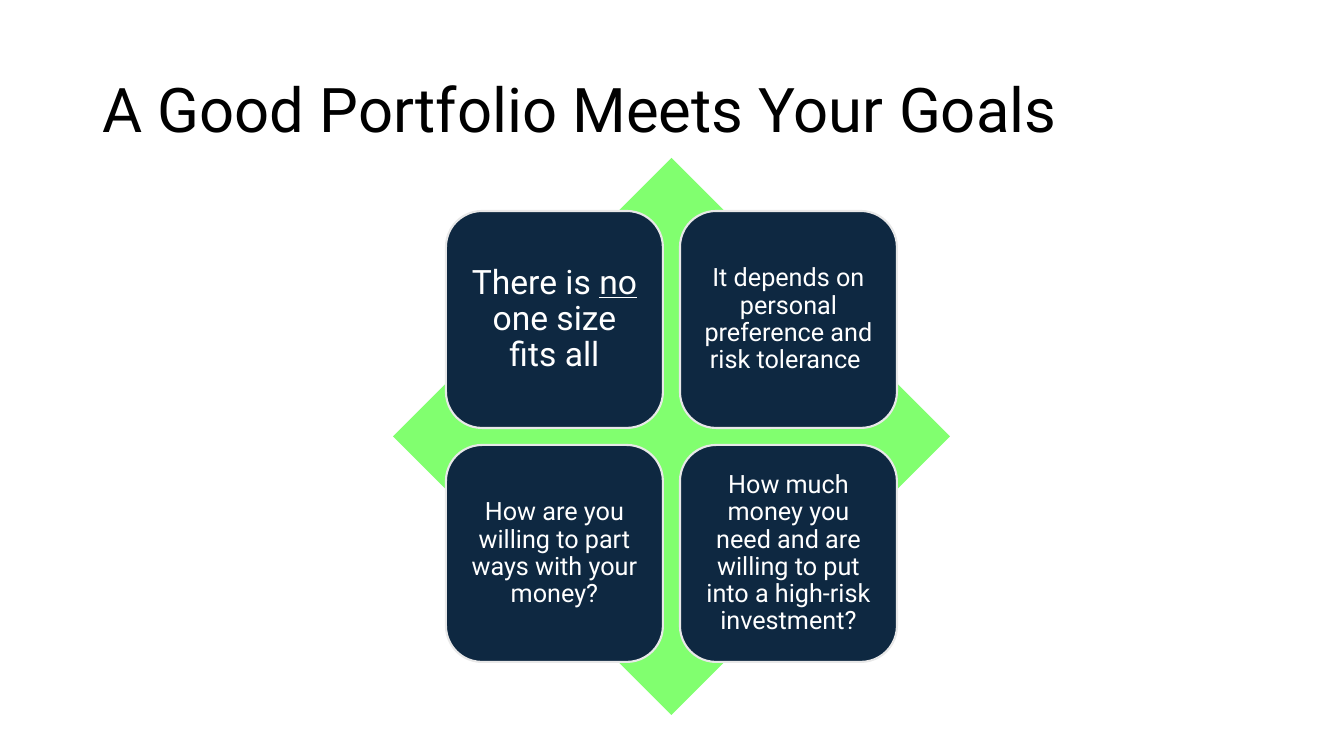
import pptx
import pptx.util
import pptx.dml.color
import pptx.enum.shapes
import pptx.enum.text

SCALE = 914400 / 100.8  # EMU in one px
FONT = "Roboto"
ALIGN = pptx.enum.text.PP_ALIGN
SHAPES = pptx.enum.shapes.MSO_SHAPE

# Each tile: font size, inner margin in px, runs of (text, underlined)
TILES = [
    (24, 10, [("There is ", False), ("no", True), (" one size fits all", False)]),
    (18, 7, [("It depends on personal preference and risk tolerance ", False)]),
    (18, 7, [("How are you willing to part ways with your money?", False)]),
    (18, 7, [("How much money you need and are willing to put into a "
              "high-risk investment?", False)]),
]


def px(length):
    return pptx.util.Emu(round(length * SCALE))


def color(value):
    return pptx.dml.color.RGBColor.from_string(value)


def write_runs(frame, runs, size, font_color, alignment):
    """Write one paragraph, centred vertically in its frame."""
    frame.word_wrap = True
    frame.auto_size = pptx.enum.text.MSO_AUTO_SIZE.NONE
    frame.vertical_anchor = pptx.enum.text.MSO_ANCHOR.MIDDLE
    paragraph = frame.paragraphs[0]
    paragraph.alignment = alignment
    paragraph.line_spacing = 0.9
    for text, underlined in runs:
        run = paragraph.add_run()
        run.text = text
        run.font.name = FONT
        run.font.size = pptx.util.Pt(size)
        run.font.color.rgb = color(font_color)
        if underlined:
            run.font.underline = True


def add_filled_shape(slide, kind, left, top, size, fill):
    shape = slide.shapes.add_shape(kind, px(left), px(top), px(size), px(size))
    shape.shadow.inherit = False
    shape.fill.solid()
    shape.fill.fore_color.rgb = color(fill)
    shape.line.fill.background()
    return shape


def add_title(slide, left, top, width, height):
    title = slide.shapes.title
    title.left, title.top = px(left), px(top)
    title.width, title.height = px(width), px(height)
    write_runs(title.text_frame, [("A Good Portfolio Meets Your Goals", False)],
               44, "000000", ALIGN.LEFT)


def add_tile(slide, left, top, side, font_size, margin, runs):
    tile = add_filled_shape(slide, SHAPES.ROUNDED_RECTANGLE, left, top, side, "0E2841")
    tile.line.color.rgb = color("E8E8E8")
    tile.line.width = pptx.util.Pt(1.5)
    frame = tile.text_frame
    frame.margin_left = frame.margin_right = px(margin)
    frame.margin_top = frame.margin_bottom = px(margin)
    write_runs(frame, runs, font_size, "FFFFFF", ALIGN.CENTER)


def add_matrix(slide, left, top, size):
    """Place a two by two grid of tiles, centred on a diamond."""
    side, gap = 217, 17
    add_filled_shape(slide, SHAPES.DIAMOND, left, top, size, "81FF6F")
    inset = (size - 2 * side - gap) / 2
    for index, tile in enumerate(TILES):
        row, column = divmod(index, 2)
        add_tile(slide, left + inset + column * (side + gap),
                 top + inset + row * (side + gap), side, *tile)


def main():
    presentation = pptx.Presentation()
    presentation.slide_width, presentation.slide_height = px(1344), px(756)
    slide = presentation.slides.add_slide(presentation.slide_layouts[5])
    add_title(slide, 92, 40, 1159, 146)
    add_matrix(slide, 393, 158, 557)
    presentation.save("out.pptx")


if __name__ == "__main__":
    main()
